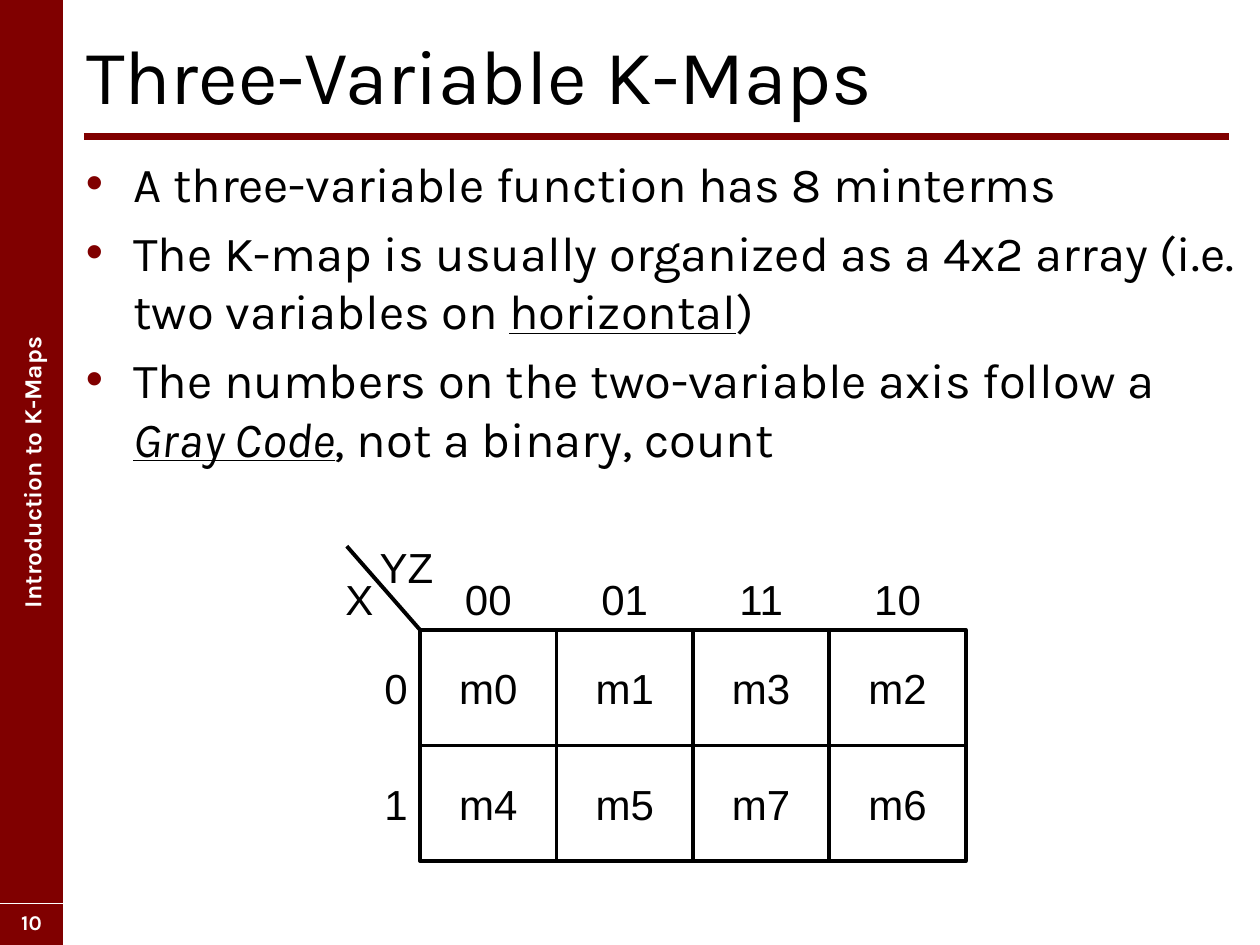
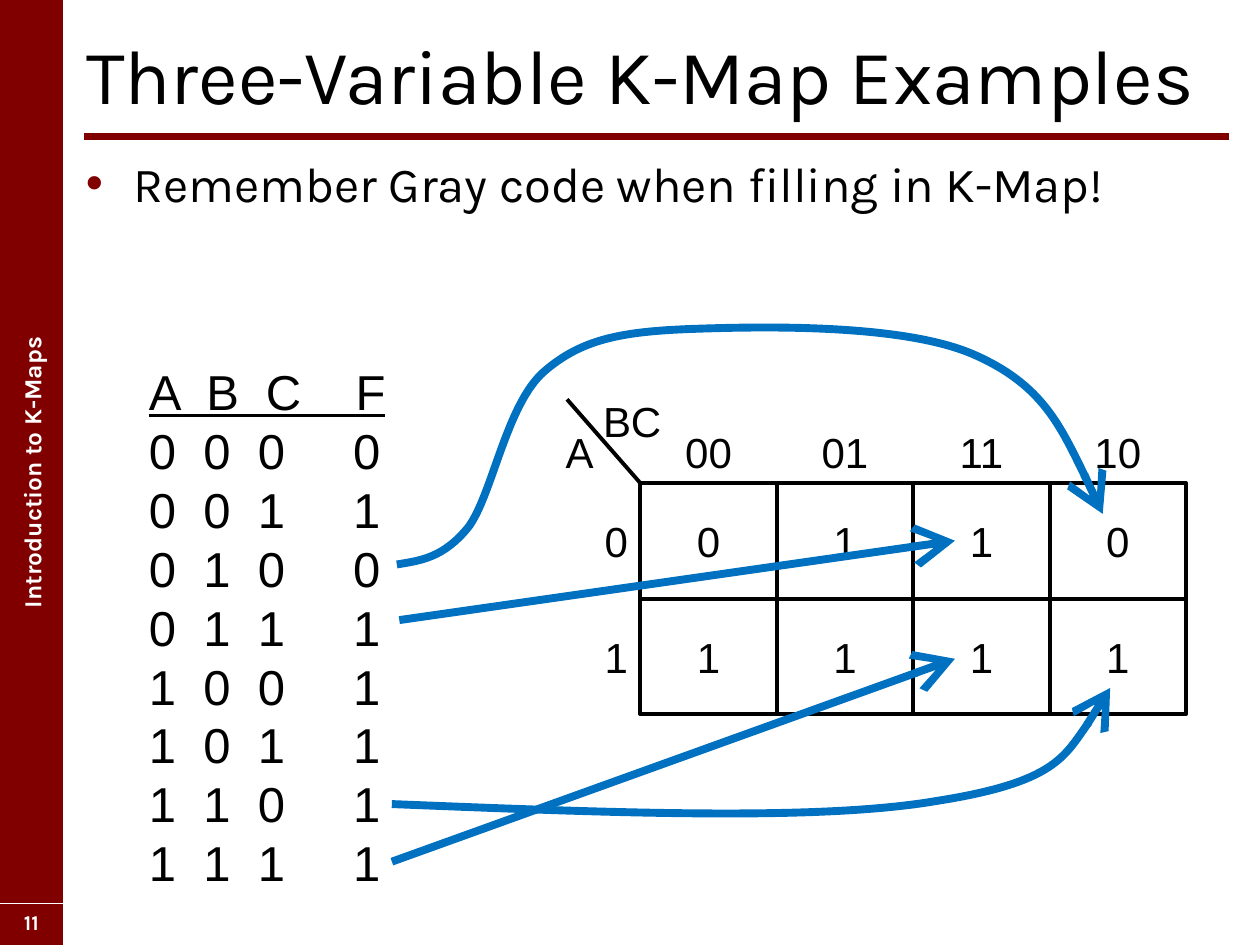
from lxml import etree
from pptx import Presentation
from pptx.dml.color import RGBColor
from pptx.enum.shapes import MSO_CONNECTOR, MSO_SHAPE
from pptx.enum.text import MSO_ANCHOR, MSO_AUTO_SIZE, PP_ALIGN
from pptx.oxml.ns import qn
from pptx.util import Cm, Pt

MAROON = RGBColor(0x80, 0x00, 0x00)
BLUE = RGBColor(0x00, 0x70, 0xC0)
BLACK = RGBColor(0x00, 0x00, 0x00)
WHITE = RGBColor(0xFF, 0xFF, 0xFF)
HEADING_FONT, MAP_FONT = "Karla", "Arial"
LEFT, CENTER, RIGHT = PP_ALIGN.LEFT, PP_ALIGN.CENTER, PP_ALIGN.RIGHT
TOP, MIDDLE = MSO_ANCHOR.TOP, MSO_ANCHOR.MIDDLE
RECTANGLE, STRAIGHT = MSO_SHAPE.RECTANGLE, MSO_CONNECTOR.STRAIGHT
NO_AUTOFIT = MSO_AUTO_SIZE.NONE

GRAY_CODE = ["00", "01", "11", "10"]
CELL_W, CELL_H, LABEL_H = 2.75, 2.33, 1.27
ROW_LABEL_GAP = 0.25


def add_xml(parent, tag, **attrs):
    return etree.SubElement(parent, qn(tag), attrs)


class Deck:
    def __init__(self):
        self.prs = Presentation()
        self.prs.slide_width, self.prs.slide_height = Cm(25.4), Cm(19.05)
        self.s = None

    # Text helpers
    def style(self, p, size, font=MAP_FONT, color=BLACK, bold=False, align=LEFT):
        p.alignment = align
        for r in p.runs:
            r.font.name, r.font.size = font, Pt(size)
            r.font.color.rgb, r.font.bold = color, bold

    def text_box(self, x, y, w, h, anchor=TOP):
        sp = self.s.shapes.add_textbox(Cm(x), Cm(y), Cm(w), Cm(h))
        tf = sp.text_frame
        tf.word_wrap, tf.vertical_anchor = True, anchor
        return tf

    def label(self, x, y, w, h, text, align=CENTER, anchor=TOP):
        tf = self.text_box(x, y, w, h, anchor)
        tf.margin_left = tf.margin_right = 0
        tf.paragraphs[0].text = text
        self.style(tf.paragraphs[0], 24, align=align)

    # Shapes and lines
    def rectangle(self, x, y, w, h, text, fill):
        sp = self.s.shapes.add_shape(RECTANGLE, Cm(x), Cm(y), Cm(w), Cm(h))
        sp.shadow.inherit = False
        sp.fill.solid()
        sp.fill.fore_color.rgb = fill
        sp.line.fill.background()
        tf = sp.text_frame
        tf.word_wrap, tf.vertical_anchor = False, MIDDLE
        tf.margin_left = tf.margin_right = tf.margin_top = tf.margin_bottom = 0
        tf.paragraphs[0].text = text
        return sp

    def outline(self, sp, color, width, arrow=False):
        sp.line.color.rgb, sp.line.width = color, Pt(width)
        if arrow:
            ln = sp.line._get_or_add_ln()
            add_xml(ln, "a:tailEnd", type="arrow", w="lg", len="lg")

    def line(self, x1, y1, x2, y2, color, width, arrow=False):
        sp = self.s.shapes.add_connector(STRAIGHT, Cm(x1), Cm(y1), Cm(x2), Cm(y2))
        self.outline(sp, color, width, arrow)
        add_xml(sp._element.spPr, "a:effectLst")

    def curved_arrow(self, points):
        """Draw a start point followed by triples of Bezier points."""
        points = [(Cm(x), Cm(y)) for x, y in points]
        builder = self.s.shapes.build_freeform(*points[0])
        builder.add_line_segments(points[1:], close=False)
        sp = builder.convert_to_shape()
        # Merge every three straight segments into one cubic segment
        segments = list(sp._element.iter(qn("a:lnTo")))
        for i in range(0, len(segments), 3):
            curve = etree.Element(qn("a:cubicBezTo"))
            segments[i].addprevious(curve)
            for segment in segments[i:i + 3]:
                curve.append(segment[0])
                segment.getparent().remove(segment)
        sp.shadow.inherit = False
        sp.fill.background()
        self.outline(sp, BLUE, 4.5, arrow=True)

    # Slide frame
    def add_slide(self, title, number):
        self.s = self.prs.slides.add_slide(self.prs.slide_layouts[5])
        sp = self.s.shapes.title
        sp.left, sp.top, sp.width, sp.height = Cm(1.48), Cm(0.21), Cm(23.71), Cm(2.54)
        tf = sp.text_frame
        tf.text = title
        tf.auto_size, tf.vertical_anchor = NO_AUTOFIT, MIDDLE
        self.style(tf.paragraphs[0], 44, HEADING_FONT)

        band = self.rectangle(-8.89, 8.89, 19.05, 1.27, "Introduction to K-Maps", MAROON)
        band.rotation = 270
        self.style(band.text_frame.paragraphs[0], 14, HEADING_FONT, WHITE, True, CENTER)
        self.line(1.69, 2.75, 24.77, 2.75, MAROON, 4)
        p = self.text_box(0, 18.21, 1.27, 0.76).paragraphs[0]
        p.text = str(number)
        p.space_before = Pt(6)
        self.style(p, 12, HEADING_FONT, WHITE, True, CENTER)
        self.line(0, 18.21, 1.27, 18.21, WHITE, 0.75)

    def bullets(self, items):
        """Each item is a list of (text, marks); marks are i and u."""
        tf = self.text_box(1.48, 2.97, 23.71, 16)
        for i, item in enumerate(items):
            p = tf.add_paragraph() if i else tf.paragraphs[0]
            for text, marks in item:
                r = p.add_run()
                r.text = text
                r.font.italic, r.font.underline = "i" in marks, "u" in marks
            self.style(p, 28, HEADING_FONT)
            p.space_before = Pt(5.6)
            pPr = p._p.get_or_add_pPr()
            pPr.set("marL", str(Cm(0.96)))
            pPr.set("indent", str(-Cm(0.96)))
            add_xml(add_xml(pPr, "a:buClr"), "a:srgbClr", val=str(MAROON))
            add_xml(pPr, "a:buFont", typeface=MAP_FONT)
            add_xml(pPr, "a:buChar", char="•")

    # Karnaugh map and truth table
    def k_map(self, x, y, row_var, col_var, rows, col_var_offset):
        self.line(x, y, x - 1.48, y - 1.69, BLACK, 2.25)
        self.label(x - 2.01, y - LABEL_H, 1.57, LABEL_H, row_var)
        self.label(x - col_var_offset, y - 1.9, 1.57, LABEL_H, col_var)
        for col, code in enumerate(GRAY_CODE):
            self.label(x + col * CELL_W, y - LABEL_H, CELL_W, LABEL_H, code)
        for row, values in enumerate(rows):
            top = y + row * CELL_H
            self.label(x - CELL_H, top, CELL_H - ROW_LABEL_GAP, CELL_H,
                       str(row), RIGHT, MIDDLE)
            for col, value in enumerate(values):
                sp = self.rectangle(x + col * CELL_W, top, CELL_W, CELL_H, value, WHITE)
                self.outline(sp, BLACK, 2.25)
                self.style(sp.text_frame.paragraphs[0], 24, align=CENTER)

    def truth_table(self, x, y, header, outputs):
        tf = self.text_box(x, y, 6.35, 11.02)
        rows = [header] + [f"{i:03b}{out}" for i, out in enumerate(outputs)]
        for i, row in enumerate(rows):
            p = tf.add_paragraph() if i else tf.paragraphs[0]
            p.text = "\t".join(row)
            self.style(p, 28)
            stops = (1.1, 2.2, 4.12) if i else (1.16, 2.36, 4.17)
            tabs = add_xml(p._p.get_or_add_pPr(), "a:tabLst")
            for stop in stops:
                add_xml(tabs, "a:tab", pos=str(Cm(stop)), algn="l")
        # Rule under the header row
        self.line(x + 0.25, y + 1.2, x + 5.01, y + 1.2, BLACK, 1.75)


def main():
    deck = Deck()

    # Three-variable maps
    deck.add_slide("Three-Variable K-Maps", 10)
    deck.bullets([
        [("A three-variable function has 8 minterms", "")],
        [("The K-map is usually organized as a 4x2 array (i.e. two variables on ", ""),
         ("horizontal", "u"), (")", "")],
        [("The numbers on the two-variable axis follow a ", ""),
         ("Gray Code", "iu"), (", not a binary, count", "")],
    ])
    minterms = [["m0", "m1", "m3", "m2"], ["m4", "m5", "m7", "m6"]]
    deck.k_map(8.47, 12.7, "X", "YZ", minterms, 1.06)

    # Example filled in from a truth table
    deck.add_slide("Three-Variable K-Map Examples", 11)
    deck.bullets([[("Remember Gray code when filling in K-Map!", "")]])
    deck.truth_table(2.75, 7.17, "ABCF", "01011111")
    deck.k_map(12.91, 9.74, "A", "BC", ["0110", "1111"], 0.95)

    # Arrows from table rows to map cells
    deck.curved_arrow([
        (8, 11.38), (8.48, 11.3), (8.94, 11.25), (9.45, 10.62),
        (9.93, 9.96), (10.21, 8.15), (10.97, 7.49),
        (11.73, 6.83), (12.55, 6.68), (14, 6.63),
        (15.44, 6.58), (18.26, 6.53), (19.66, 7.16),
        (21.03, 7.77), (21.64, 9.07), (22.23, 10.36),
    ])
    deck.line(8.05, 12.5, 19.25, 10.9, BLUE, 4.5, arrow=True)
    deck.curved_arrow([
        (7.9, 16.21), (12.19, 16.38), (16.46, 16.56), (18.87, 16.15),
        (21.29, 15.77), (21.84, 14.81), (22.38, 13.87),
    ])
    deck.line(7.9, 17.37, 19.25, 13.28, BLUE, 4.5, arrow=True)

    deck.prs.save("out.pptx")


if __name__ == "__main__":
    main()
